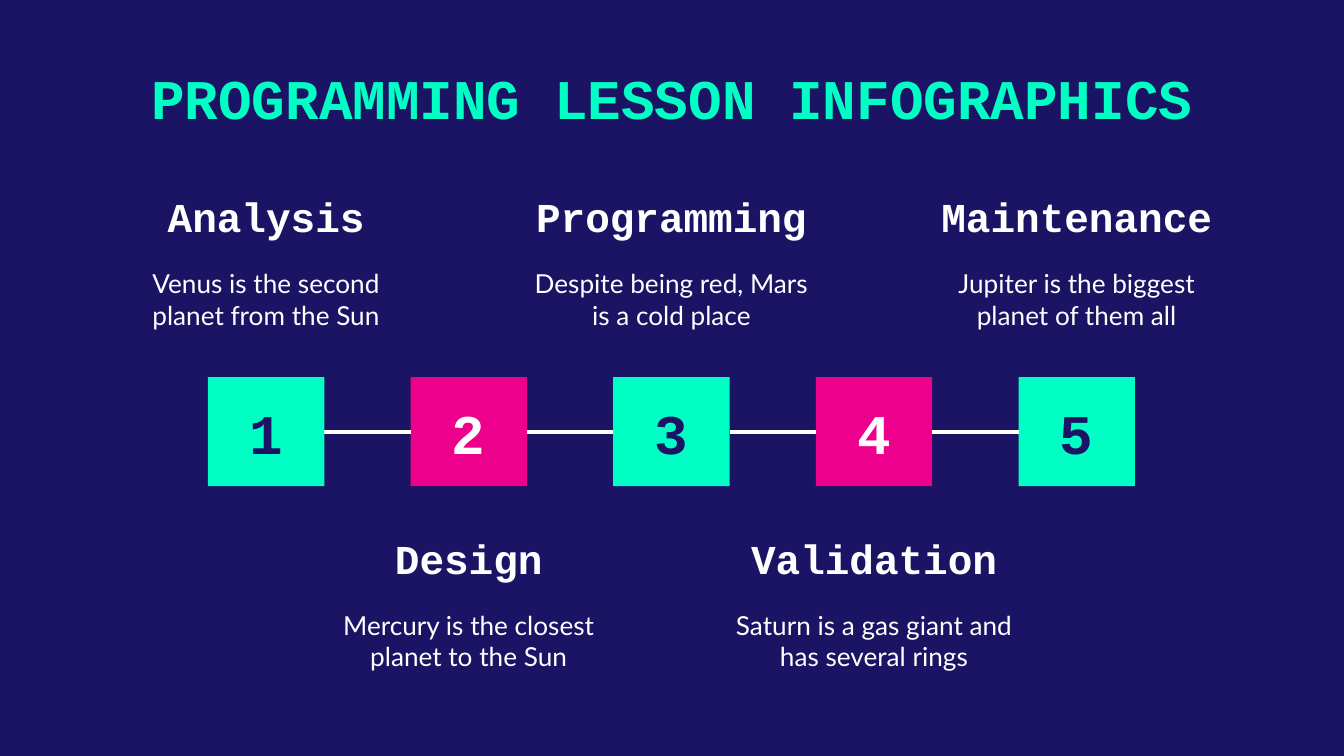
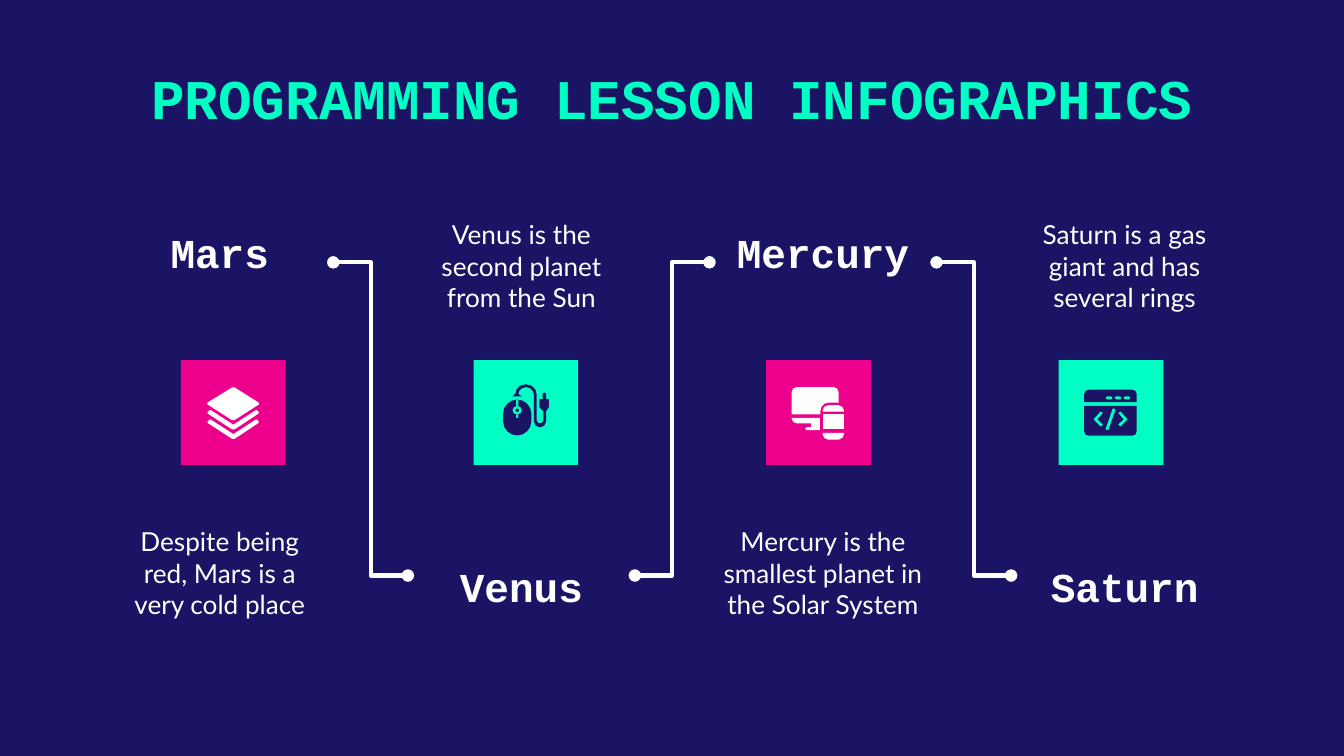
from collections import namedtuple

from lxml.etree import SubElement
from pptx import Presentation
from pptx.dml.color import RGBColor
from pptx.enum.shapes import MSO_CONNECTOR as Connector, MSO_SHAPE as Preset
from pptx.enum.text import MSO_ANCHOR as Anchor, PP_ALIGN as Align
from pptx.oxml.ns import qn
from pptx.util import Cm, Pt

Box = namedtuple("Box", "left top width height")

COLORS = {"navy": "1B1464", "mint": "00FFC5", "pink": "EC008C", "white": "FFFFFF"}
FORMATS = {
    "title": {"name": "Courier New", "size": Pt(30), "bold": True},
    "heading": {"name": "Courier New", "size": Pt(22), "bold": True},
    "body": {"name": "Lato", "size": Pt(14), "bold": False},
}
INSETS = {f"margin_{side}": Cm(0.25) for side in ("left", "top", "right", "bottom")}
TITLE = "PROGRAMMING LESSON INFOGRAPHICS"
TITLE_BOX = Box(2, 0.95, 21.4, 1.85)
ICON_GRID = 780

STEPS = [
    ("Analysis", "Venus is the second planet from the Sun"),
    ("Design", "Mercury is the closest planet to the Sun"),
    ("Programming", "Despite being red, Mars is a cold place"),
    ("Validation", "Saturn is a gas giant and has several rings"),
    ("Maintenance", "Jupiter is the biggest planet of them all"),
]
PLANETS = [
    ("Mars", "Despite being red, Mars is a very cold place"),
    ("Venus", "Venus is the second planet from the Sun"),
    ("Mercury", "Mercury is the smallest planet in the Solar System"),
    ("Saturn", "Saturn is a gas giant and has several rings"),
]


def rgb(color):
    """Return the named colour."""
    return RGBColor.from_string(COLORS[color])


def set_attributes(target, values):
    """Set every attribute in values on target."""
    for name, value in values.items():
        setattr(target, name, value)


def in_cm(box):
    """Return the four lengths of a box."""
    return [Cm(length) for length in box]


def write_text(shape, text, style, color, anchor):
    """Fill a shape with one centred paragraph."""
    frame = shape.text_frame
    set_attributes(frame, {**INSETS, "word_wrap": True, "vertical_anchor": anchor})
    paragraph = frame.paragraphs[0]
    paragraph.alignment = Align.CENTER
    run = paragraph.add_run()
    run.text = text
    set_attributes(run.font, FORMATS[style])
    run.font.color.rgb = rgb(color)


def add_text(slide, box, text, style, color="white", anchor=Anchor.TOP):
    """Add a text box."""
    write_text(slide.shapes.add_textbox(*in_cm(box)), text, style, color, anchor)


def paint(shape, color):
    """Give a shape a plain fill without line or shadow."""
    shape.shadow.inherit = False
    shape.fill.solid()
    shape.fill.fore_color.rgb = rgb(color)
    shape.line.fill.background()


def add_square(slide, box, color):
    """Add a plain filled rectangle."""
    square = slide.shapes.add_shape(Preset.RECTANGLE, *in_cm(box))
    paint(square, color)
    return square


def add_link(slide, kind, start, end, dotted=False):
    """Add a white connector, with round ends if dotted."""
    link = slide.shapes.add_connector(kind, *in_cm(start + end))
    link.line.width = Pt(2.25)
    link.line.color.rgb = rgb("white")
    properties = link.element.spPr
    if dotted:
        for tag in ("a:headEnd", "a:tailEnd"):
            SubElement(properties.find(qn("a:ln")), qn(tag), type="oval")
    SubElement(properties, qn("a:effectLst"))


def toward(start, end, share):
    """Return the point at a share of the way between two points."""
    return tuple(a + (b - a) * share for a, b in zip(start, end))


def round_corners(vertices):
    """Turn (x, y, radius) vertices into an outline, finer at wide corners."""
    outline = []
    for index, (x, y, *radius) in enumerate(vertices):
        corner = (x, y)
        if not radius:
            outline.append(corner)
            continue
        ends = []
        for neighbour in (vertices[index - 1], vertices[(index + 1) % len(vertices)]):
            dx, dy = neighbour[0] - x, neighbour[1] - y
            ends.append(toward(corner, neighbour[:2], radius[0] / (dx * dx + dy * dy) ** 0.5))
        first, last = ends
        controls = [first, toward(first, corner, 0.55), toward(last, corner, 0.55), last]
        steps = 1 + (radius[0] > 22) + (radius[0] > 50) + (radius[0] > 100)
        for step in range(steps + 1):
            points = controls
            while len(points) > 1:
                points = [toward(a, b, step / steps) for a, b in zip(points, points[1:])]
            outline.append(points[0])
    return outline


def block(left, top, right, bottom, upper=0, lower=0):
    """Return the vertices of a rectangle with upper and lower corner radii."""
    corners = [(left, top, upper), (right, top, upper), (right, bottom, lower), (left, bottom, lower)]
    return [corner if corner[2] else corner[:2] for corner in corners]


def add_piece(slide, box, contours, color):
    """Draw one icon piece on the icon grid of a box."""
    outlines = [round_corners(contour) for contour in contours]
    builder = slide.shapes.build_freeform(*outlines[0][0], scale=Cm(box.width) / ICON_GRID)
    for index, outline in enumerate(outlines):
        if index:
            builder.move_to(*outline[0])
        builder.add_line_segments(outline[1:], close=True)
    paint(builder.convert_to_shape(Cm(box.left), Cm(box.top)), color)


def layers_icon():
    """Return the pieces of the stacked layers."""
    sheet = [(390, 196, 12), (590, 322, 12), (390, 452, 12), (186, 322, 12)]
    chevrons = [
        [[(220, 370 + drop), (390, 480 + drop), (560, 370 + drop),
          (588, 390 + drop, 12), (390, 522 + drop, 12), (188, 390 + drop, 12)]]
        for drop in (70, 0)
    ]
    return [[sheet], *chevrons]


def mouse_icon():
    """Return the pieces of the wired mouse."""
    cable = [
        (290, 270), (310, 250), (310, 180, 75), (470, 180, 75), (470, 470, 24),
        (520, 470, 24), (520, 380), (490, 350), (490, 290), (515, 290),
        (515, 240, 12), (540, 240, 12), (540, 290), (560, 290), (560, 350),
        (540, 380), (540, 500, 44), (450, 500, 44), (450, 200, 58), (332, 200, 58),
        (332, 250), (360, 270),
    ]
    body = block(220, 293, 430, 560, 104, 104)
    cutouts = [block(315, 293, 335, 340), block(290, 340, 360, 405, 32, 32), block(315, 405, 335, 430)]
    return [[cable], [block(313, 360, 337, 384, 8, 8)], [body, *cutouts]]


def devices_icon():
    """Return the pieces of the screen and phone."""
    stand = [
        (190, 430), (400, 430), (400, 520), (290, 520, 10), (290, 498, 10),
        (335, 498), (335, 470), (190, 470, 36),
    ]
    screen = [
        (190, 200, 36), (540, 200, 36), (540, 315), (405, 315, 60), (405, 402), (190, 402),
    ]
    phone = [block(420, 403, 580, 515), block(420, 540, 580, 590, 0, 40), block(420, 335, 580, 382, 40)]
    return [*[[part] for part in phone], [stand], [screen]]


def browser_icon():
    """Return the pieces of the code window."""
    dots = [block(left, 270, left + 50, 292, 8, 8) for left in (350, 417, 484)]
    bracket = [(312, 380), (330, 393), (290, 440), (330, 480), (312, 495), (258, 440)]
    mirrored = [(772 - x, y) for x, y in bracket]
    slash = [(402, 358), (425, 365), (370, 522), (347, 515)]
    return [
        [block(190, 220, 580, 313, 32), *dots],
        [block(190, 340, 580, 562, 0, 32), bracket, mirrored, slash],
    ]


def add_titled_slide(presentation):
    """Add a navy slide with the shared title."""
    slide = presentation.slides.add_slide(presentation.slide_layouts[6])
    slide.background.fill.solid()
    slide.background.fill.fore_color.rgb = rgb("navy")
    add_text(slide, TITLE_BOX, TITLE, "title", "mint")
    return slide


def add_timeline(slide, box):
    """Place the numbered steps, with texts alternately above and below."""
    pitch, width, height, text_width = 3.83, 2.2, 2.06, 6.12
    top = box.top + 3.61
    middle = top + height / 2
    for index, (heading, body) in enumerate(STEPS):
        below = index % 2
        text_left = box.left + index * pitch
        left = text_left + (text_width - width) / 2
        square = add_square(slide, Box(left, top, width, height), "pink" if below else "mint")
        write_text(square, str(index + 1), "title", "white" if below else "navy", Anchor.MIDDLE)
        heading_top = box.top + (6.45 if below else 0)
        add_text(slide, Box(text_left, heading_top, text_width, 1.29), heading, "heading", anchor=Anchor.BOTTOM)
        add_text(slide, Box(text_left, heading_top + 1.29, text_width, 1.5), body, "body")
        if index:
            add_link(slide, Connector.STRAIGHT, (left - pitch + width, middle), (left, middle))


def add_planet_row(slide, box):
    """Place the planet columns, their icons and the bent links."""
    pitch, width, icon_pitch, side = 5.7, 4.29, 5.53, 1.98
    link_heights = [box.top + 0.65, box.top + 6.57]
    icons = [layers_icon, mouse_icon, devices_icon, browser_icon]
    for index, ((heading, body), icon) in enumerate(zip(PLANETS, icons)):
        flipped = index % 2
        left = box.left + index * pitch
        anchor = Anchor.TOP if flipped else Anchor.BOTTOM
        heading_box = Box(left, box.top + (6.05 if flipped else 0.13), width, 1.04)
        body_box = Box(left, box.top + (0 if flipped else 5.38), width, 1.85)
        add_text(slide, heading_box, heading, "heading", anchor=anchor)
        add_text(slide, body_box, body, "body", anchor=Anchor.BOTTOM if flipped else Anchor.TOP)
        if index:
            start = (left - pitch + width, link_heights[1 - flipped])
            add_link(slide, Connector.ELBOW, start, (left, link_heights[flipped]), dotted=True)
        icon_box = Box(box.left + 1.41 + index * icon_pitch, box.top + 2.5, side, side)
        add_square(slide, icon_box, "mint" if flipped else "pink")
        for contours in icon():
            add_piece(slide, icon_box, contours, "navy" if flipped else "white")


def main():
    """Build and save the presentation."""
    presentation = Presentation()
    set_attributes(presentation, {"slide_width": Cm(25.4), "slide_height": Cm(14.29)})
    add_timeline(add_titled_slide(presentation), Box(1.97, 3.52, 21.44, 9.24))
    add_planet_row(add_titled_slide(presentation), Box(2.01, 4.31, 21.39, 7.23))
    presentation.save("out.pptx")


if __name__ == "__main__":
    main()
